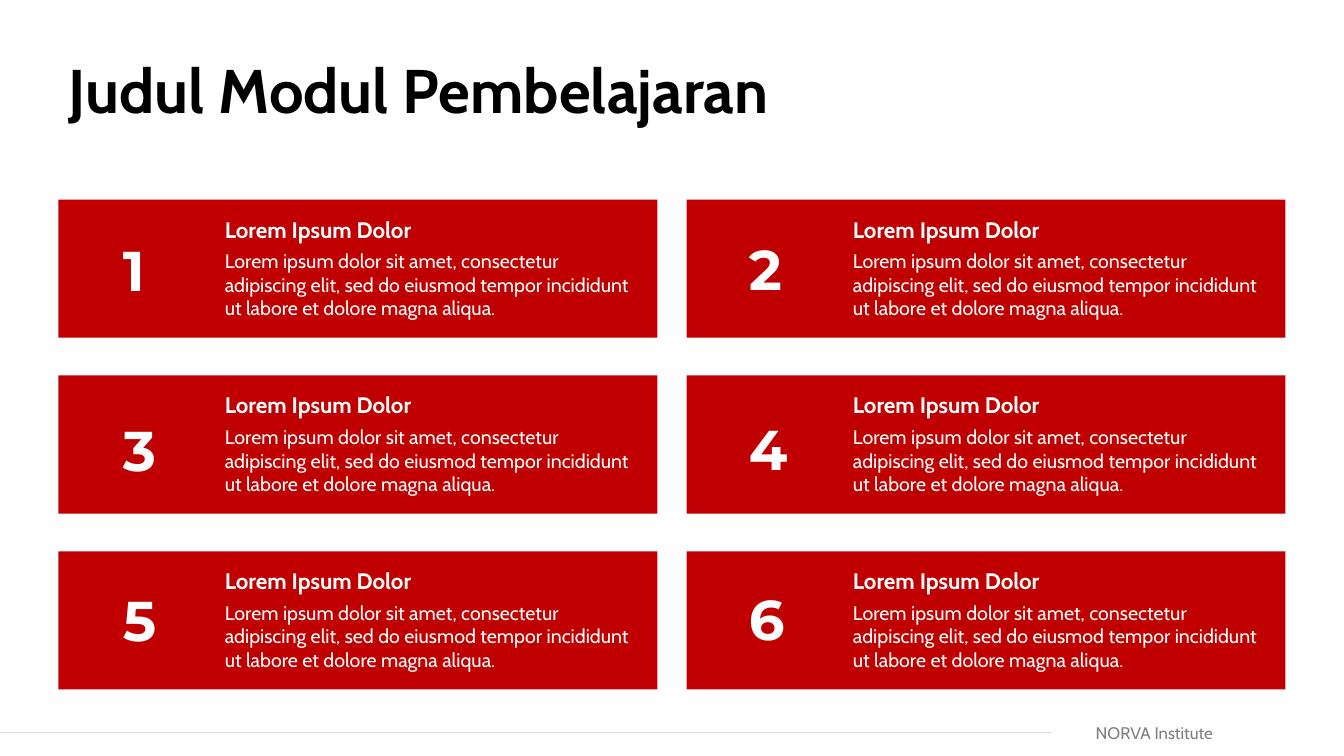
from pptx import Presentation
from pptx.dml.color import RGBColor
from pptx.enum.shapes import MSO_CONNECTOR, MSO_SHAPE
from pptx.enum.text import MSO_ANCHOR, MSO_AUTO_SIZE, PP_ALIGN
from pptx.oxml.ns import qn
from pptx.util import Inches, Pt
from lxml.etree import SubElement

COLORS = {"red": "C00000", "white": "FFFFFF", "black": "000000",
          "gray": "808080", "rule": "D9D9D9"}
HEADING = "Lorem Ipsum Dolor"
BODY = ("Lorem ipsum dolor sit amet, consectetur adipiscing elit, sed do "
        "eiusmod tempor incididunt ut labore et dolore magna aliqua.")


class SlideBuilder:
    text_font = "Cabin"
    number_font = "Montserrat"

    def __init__(self, slide):
        self.slide = slide

    def color(self, name):
        return RGBColor.from_string(COLORS[name])

    def add_run(self, paragraph, text, size, color, bold=False, font=None):
        run = paragraph.add_run()
        run.text = text
        run.font.name = font or self.text_font
        run.font.size = Pt(size)
        run.font.bold = bold
        run.font.color.rgb = self.color(color)

    def title(self, text, left, top, width, height):
        title = self.slide.shapes.title
        title.left, title.top = Inches(left), Inches(top)
        title.width, title.height = Inches(width), Inches(height)
        frame = title.text_frame
        frame.word_wrap = True
        frame.auto_size = MSO_AUTO_SIZE.NONE
        frame.vertical_anchor = MSO_ANCHOR.MIDDLE
        paragraph = frame.paragraphs[0]
        paragraph.alignment = PP_ALIGN.LEFT
        paragraph.line_spacing = 0.9
        self.add_run(paragraph, text, 44, "black", bold=True)

    def rectangle(self, left, top, width, height, color):
        shape = self.slide.shapes.add_shape(
            MSO_SHAPE.RECTANGLE, Inches(left), Inches(top), Inches(width), Inches(height))
        shape.shadow.inherit = False
        shape.fill.solid()
        shape.fill.fore_color.rgb = self.color(color)
        shape.line.fill.background()

    def text(self, text, left, top, width, height, size, color="white", bold=False,
             font=None, padded=False, wrap=True, align=PP_ALIGN.LEFT,
             anchor=MSO_ANCHOR.TOP):
        box = self.slide.shapes.add_textbox(
            Inches(left), Inches(top), Inches(width), Inches(height))
        frame = box.text_frame
        frame.word_wrap = wrap
        frame.auto_size = MSO_AUTO_SIZE.SHAPE_TO_FIT_TEXT
        frame.vertical_anchor = anchor
        if not padded:
            frame.margin_left = frame.margin_right = 0
            frame.margin_top = frame.margin_bottom = 0
        paragraph = frame.paragraphs[0]
        paragraph.alignment = align
        self.add_run(paragraph, text, size, color, bold, font)

    def line(self, start_x, start_y, end_x, end_y, color, weight):
        connector = self.slide.shapes.add_connector(
            MSO_CONNECTOR.STRAIGHT, Inches(start_x), Inches(start_y),
            Inches(end_x), Inches(end_y))
        connector.line.color.rgb = self.color(color)
        connector.line.width = Pt(weight)
        SubElement(connector._element.spPr, qn("a:effectLst"))

    def card(self, left, top):
        self.rectangle(left, top, 5.94, 1.37, "red")
        self.text(BODY, left + 1.65, top + 0.49, 4.1, 0.71, 14)
        self.text(HEADING, left + 1.65, top + 0.16, 4.1, 0.27, 16, bold=True)

    def number(self, value, left, top):
        self.text(str(value), left, top, 0.58, 0.77, 40, bold=True,
                  font=self.number_font, padded=True, wrap=False)


def main():
    presentation = Presentation()
    presentation.slide_width = Inches(13.33)
    presentation.slide_height = Inches(7.5)
    slide = presentation.slides.add_slide(presentation.slide_layouts[5])
    builder = SlideBuilder(slide)

    # Footer rule and title
    builder.line(10.42, 7.27, 0, 7.27, "rule", 0.5)
    builder.title("Judul Modul Pembelajaran", 0.58, 0.44, 12.17, 0.97)

    # Module cards, numbered across each row
    for row, number_top in enumerate((2.29, 4.07, 5.76)):
        for column in range(2):
            builder.card(0.58 + column * 6.23, 1.98 + row * 1.745)
            builder.number(row * 2 + column + 1, 1.12 + column * 6.21,
                           number_top - column * 0.01)

    # Footer name
    builder.text("NORVA Institute", 10.58, 7.17, 1.45, 0.2, 12, color="gray",
                 align=PP_ALIGN.RIGHT, anchor=MSO_ANCHOR.MIDDLE)

    presentation.save("out.pptx")


if __name__ == "__main__":
    main()
